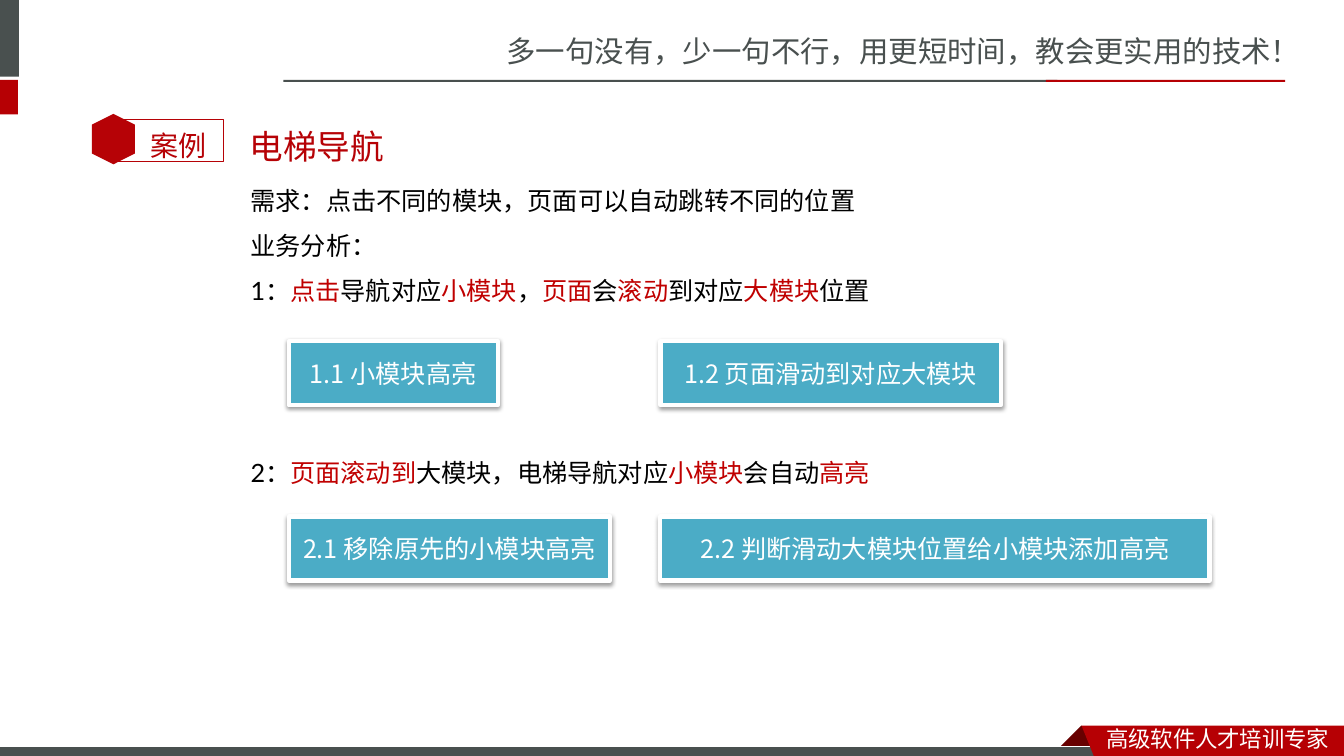
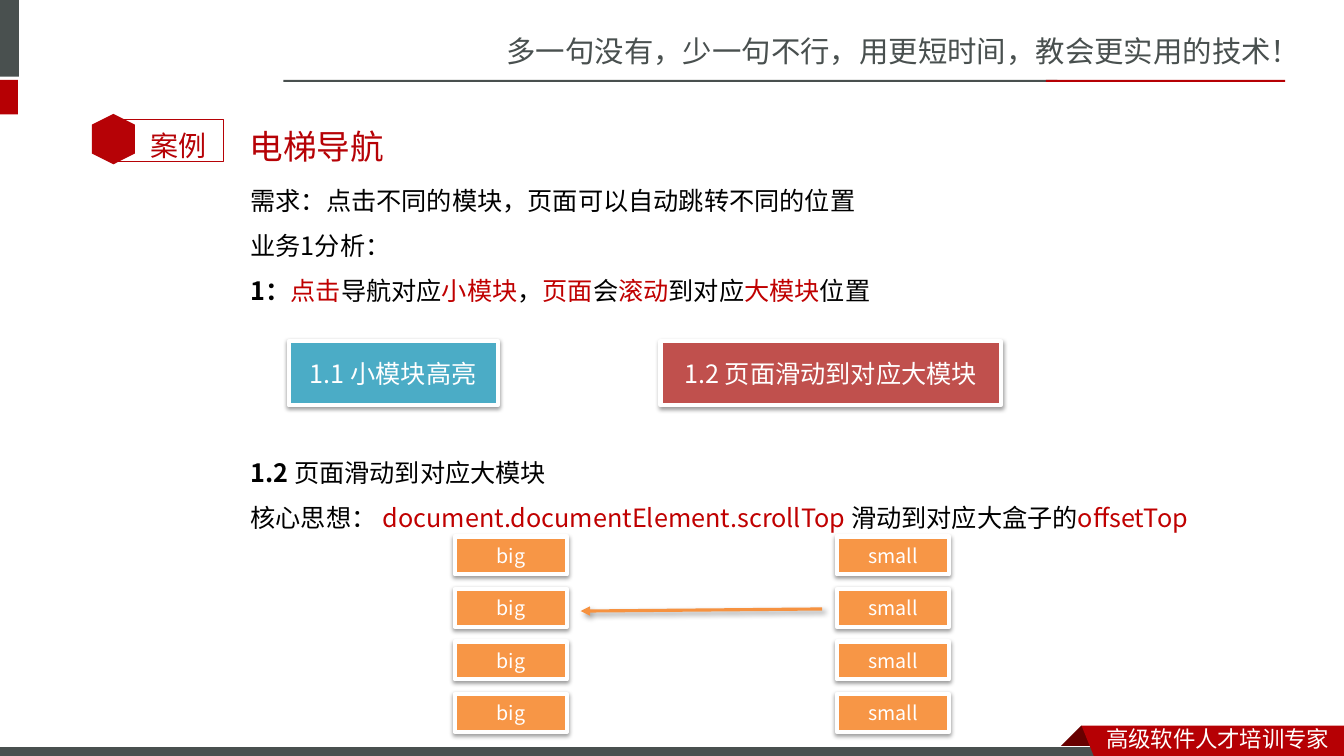
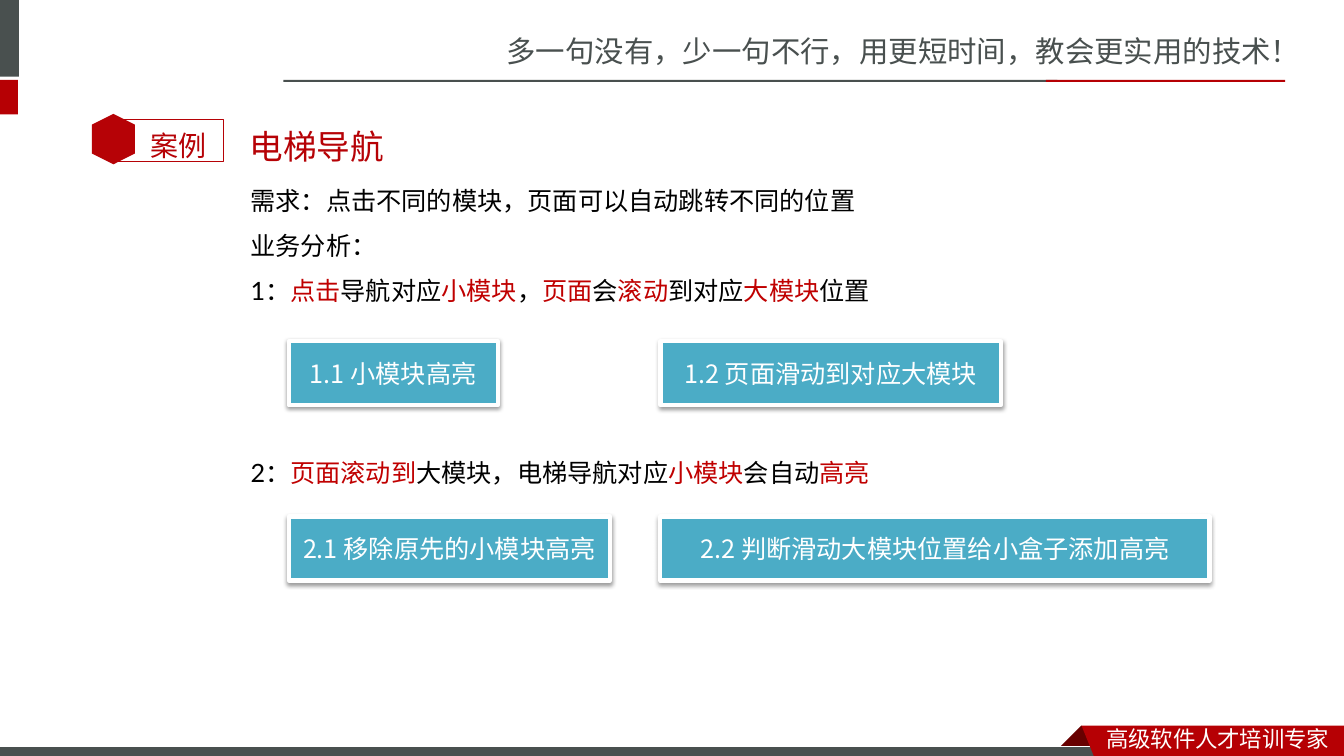
from lxml.etree import SubElement
from pptx import Presentation
from pptx.dml.color import RGBColor
from pptx.enum.shapes import MSO_CONNECTOR, MSO_SHAPE
from pptx.enum.text import MSO_ANCHOR, MSO_AUTO_SIZE, PP_ALIGN
from pptx.oxml.ns import qn
from pptx.util import Emu, Pt

GREY, RED, DARK, CRIMSON = "49504F", "B60004", "680000", "B60206"
MARK, BLACK, WHITE = "C00000", "000000", "FFFFFF"
TEAL, BRICK, ORANGE, ARROW = "4BACC6", "C0504D", "F79646", "F69240"
SANS, PLAIN, LATO, HEAD = "Noto Sans CJK SC", "Noto Sans CJK JP", "Lato", "Arial"
LEFT, RIGHT, UPPER, LOWER = 275, 629, 325, 492

NEED = "需求：点击不同的模块，页面可以自动跳转不同的位置"
CLICK = "1：|#点击|导航对应|#小模块|，|#页面|会|#滚动|到对应|#大模块|位置"
SCROLL = "2：|#页面滚动到|大模块，电梯导航对应|#小模块|会自动|#高亮"
LIGHT, SLIDE, CLEAR = "1.1 小模块高亮", "1.2 页面滑动到对应大模块", "2.1 移除原先的小模块高亮"


def px(num):
    return Emu(num * 9525)


def color(code):
    return RGBColor.from_string(code)


def place(shape, *area):
    for key, num in zip(("left", "top", "width", "height"), area):
        setattr(shape, key, px(num))


def write_run(para, text, size, face, east, tint):
    run = para.add_run()
    run.text = text.lstrip("#*")
    font = run.font
    style = {"size": Pt(size), "name": face, "bold": text.startswith("*")}
    for key, value in style.items():
        setattr(font, key, value)
    font.color.rgb = color(MARK if text.startswith("#") else tint)
    SubElement(run._r.get_or_add_rPr(), qn("a:ea"), typeface=east)


def write(shape, lines, size, face, tint, east=None, anchor=MSO_ANCHOR.TOP,
          align=PP_ALIGN.LEFT, pitch=1, wrap=True, gaps=None):
    frame = shape.text_frame
    style = {"word_wrap": wrap, "auto_size": MSO_AUTO_SIZE.NONE,
             "vertical_anchor": anchor}
    for key, value in style.items():
        setattr(frame, key, value)
    for pos, line in enumerate(lines):
        para = frame.add_paragraph() if pos else frame.paragraphs[0]
        props = para._p.get_or_add_pPr()
        for key in ("marL", "indent"):
            props.set(key, "0")
        SubElement(props, qn("a:buNone"))
        style = {"alignment": align, "line_spacing": pitch,
                 "space_before": Pt((gaps or {}).get(pos, 0))}
        for key, value in style.items():
            setattr(para, key, value)
        for text in line.split("|"):
            write_run(para, text, size, face, east or face, tint)


def paint(shape, fill=None, line=None, width=1):
    shape.shadow.inherit = False
    if fill:
        shape.fill.solid()
        shape.fill.fore_color.rgb = color(fill)
    else:
        shape.fill.background()
    if line:
        shape.line.color.rgb = color(line)
        shape.line.width = Pt(width)
    else:
        shape.line.fill.background()
    return shape


def add_block(shapes, area, kind=MSO_SHAPE.RECTANGLE, **look):
    return paint(shapes.add_shape(kind, *map(px, area)), **look)


def add_label(shapes, area, text, *style, **look):
    label = shapes.add_textbox(*map(px, area))
    write(label, [text], *style, **look)
    return label


def add_path(shapes, points, fill):
    path = shapes.build_freeform(*points[0], scale=9525)
    path.add_line_segments(points[1:])
    return paint(path.convert_to_shape(), fill)


def cast(shape, alpha, blur, dist, angle):
    props = shape.element.spPr
    effect = props.find(qn("a:effectLst"))
    if effect is None:
        effect = SubElement(props, qn("a:effectLst"))
    outer = SubElement(effect, qn("a:outerShdw"), blurRad=str(Pt(blur)),
                       dist=str(Pt(dist)), dir=str(angle * 60000), rotWithShape="0")
    tone = SubElement(outer, qn("a:srgbClr"), val=BLACK)
    SubElement(tone, qn("a:alpha"), val=str(alpha * 1000))


def add_card(slide, area, text, fill=TEAL, size=18):
    card = add_block(slide.shapes, area, fill=fill, line=WHITE, width=3)
    cast(card, 38, 3.1, 1.6, 90)
    write(card, [text], size, PLAIN, WHITE, anchor=MSO_ANCHOR.MIDDLE,
          align=PP_ALIGN.CENTER, wrap=False)


def add_arrow(slide, *ends):
    arrow = slide.shapes.add_connector(MSO_CONNECTOR.STRAIGHT, *map(px, ends))
    arrow.line.color.rgb = color(ARROW)
    arrow.line.width = Pt(2.25)
    SubElement(arrow.element.spPr.find(qn("a:ln")), qn("a:tailEnd"), type="triangle")
    cast(arrow, 40, 4, 3, 45)


def add_tag(slide):
    shapes = slide.shapes.add_group_shape().shapes
    add_block(shapes, (108, 114, 105, 40), line=CRIMSON)
    badge = add_block(shapes, (84, 112, 48, 41), MSO_SHAPE.HEXAGON, fill=CRIMSON)
    badge.rotation = 90
    add_label(shapes, (134, 102, 82, 54), "案例", 20, LATO, CRIMSON, pitch=1.5)


def set_layout(layout):
    for holder in list(layout.placeholders)[2:]:
        layout.shapes.element.remove(holder.element)
    title, body = layout.placeholders
    place(title, 228, 96, 652, 62)
    place(body, 229, 157, 984, 359)


def add_frame(slide):
    shapes = slide.shapes
    parts = [add_label(shapes, (473, 27, 807, 45),
                       "多一句没有，少一句不行，用更短时间，教会更实用的技术！", 21, SANS, GREY)]
    for area, fill in (((-6, 0, 24, 73), GREY), ((-6, 76, 23, 33), RED),
                       ((270, 76, 737, 2), GREY), ((996, 76, 228, 2), RED)):
        parts.append(add_block(shapes, area, fill=fill))
    fold = [(1030, 691), (1051, 712), (1050, 713), (1010, 713), (1009, 712)]
    ribbon = [(1030, 691), (1280, 691), (1280, 724), (1043, 723)]
    parts += [
        add_path(shapes, fold, DARK),
        add_block(shapes, (-1, 711, 1056, 12), fill=GREY, line=WHITE, width=0.75),
        add_path(shapes, ribbon, RED),
        add_label(shapes, (1044, 686, 236, 36), "高级软件人才培训专家", 16, SANS, WHITE),
    ]
    for part in parts:
        slide.slide_layout.shapes.element.append(part.element)


def add_page(deck, layout, lines, face=LATO):
    slide = deck.slides.add_slide(layout)
    title, body = slide.placeholders
    write(title, ["电梯导航"], 24, HEAD, CRIMSON, pitch=1.5)
    write(body, lines, 18, face, BLACK, east=LATO, pitch=1.5, gaps={3: 97})
    add_tag(slide)
    return slide


def add_plan(deck, layout, check):
    slide = add_page(deck, layout, [NEED, "业务分析：", CLICK, SCROLL])
    for left, top, width, text in ((LEFT, UPPER, 199, LIGHT), (RIGHT, UPPER, 324, SLIDE),
                                   (LEFT, LOWER, 306, CLEAR), (RIGHT, LOWER, 523, check)):
        add_card(slide, (left, top, width, 61), text)
    return slide


def add_detail(deck, layout):
    core = "核心思想： |#document.documentElement.scrollTop |滑动到对应大盒子的|#offsetTop"
    lines = [NEED, "业务1分析：", "*" + CLICK, "*1.2 |页面滑动到对应大模块", core]
    slide = add_page(deck, layout, lines, PLAIN)
    add_card(slide, (LEFT, UPPER, 199, 61), LIGHT)
    add_card(slide, (RIGHT, UPPER, 324, 61), SLIDE, BRICK)
    for left, text in ((797, "small"), (433, "big")):
        for row in range(4):
            add_card(slide, (left, 511 + 50 * row, 107, 36), text, ORANGE, 14)
    add_arrow(slide, 783, 580, 553, 582)


def main():
    deck = Presentation()
    deck.slide_width, deck.slide_height = px(1280), px(720)
    layout = deck.slide_layouts[1]
    set_layout(layout)
    first = add_plan(deck, layout, "2.2 判断滑动大模块位置给小模块添加高亮")
    add_frame(first)
    add_detail(deck, layout)
    add_plan(deck, layout, "2.2 判断滑动大模块位置给小盒子添加高亮")
    deck.save("out.pptx")


if __name__ == "__main__":
    main()
